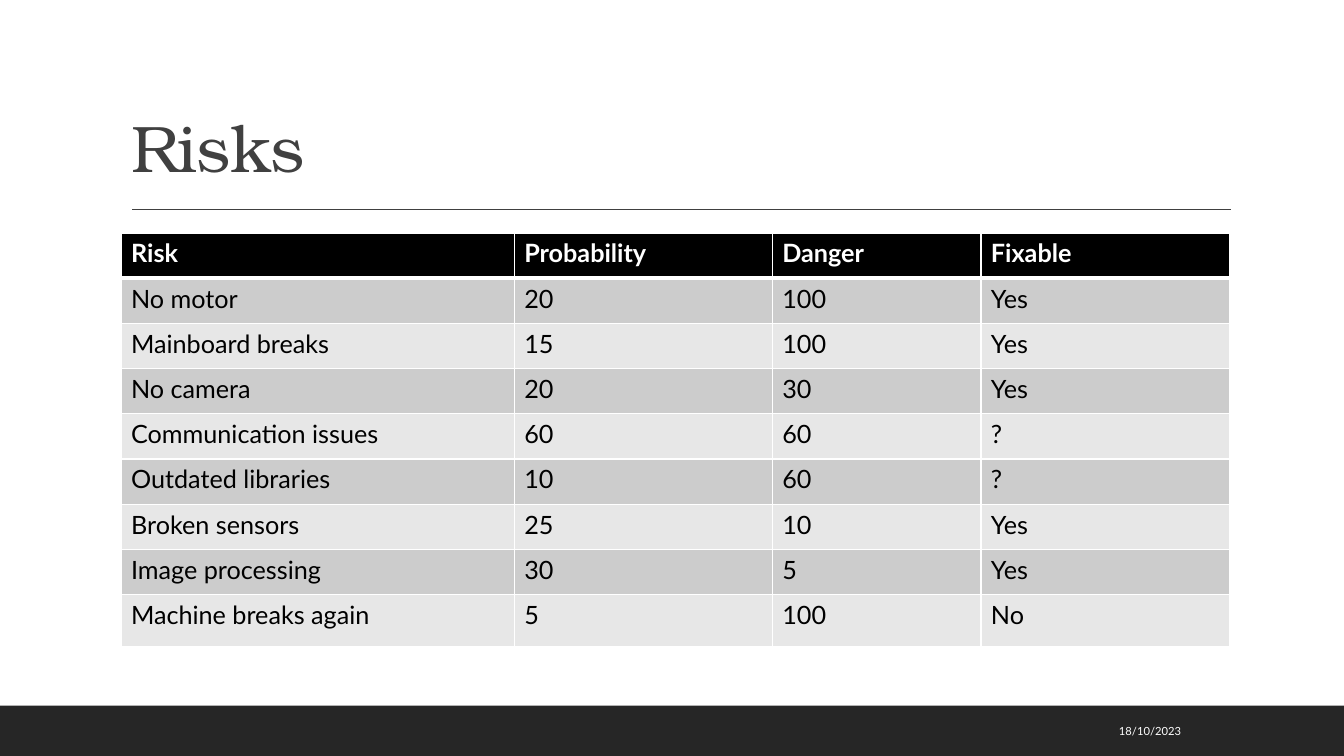
import pptx
import pptx.util
import pptx.dml.color
import pptx.enum.shapes
import pptx.enum.text
import pptx.oxml
import pptx.oxml.ns
from pptx.util import Cm, Pt

COLORS = {
    "white": "FFFFFF",
    "black": "000000",
    "footer": "262626",
    "title": "404040",
    "odd": "CCCCCC",
    "even": "E7E7E7",
}
ALIGN = pptx.enum.text.PP_ALIGN
ANCHOR = pptx.enum.text.MSO_ANCHOR

RISKS = [
    ("Risk", "Probability", "Danger", "Fixable"),
    ("No motor", "20", "100", "Yes"),
    ("Mainboard breaks", "15", "100", "Yes"),
    ("No camera", "20", "30", "Yes"),
    ("Communication issues", "60", "60", "?"),
    ("Outdated libraries", "10", "60", "?"),
    ("Broken sensors", "25", "10", "Yes"),
    ("Image processing", "30", "5", "Yes"),
    ("Machine breaks again", "5", "100", "No"),
]
COLUMN_WIDTHS = [9.91, 6.5, 5.26, 6.27]
ROW_HEIGHT = 1.14


def rgb(name):
    return pptx.dml.color.RGBColor.from_string(COLORS[name])


def set_all(obj, **formats):
    for key, value in formats.items():
        setattr(obj, key, value)


def write(tf, text, color, font, frame=None, para=None):
    set_all(tf, **(frame or {}))
    p = tf.paragraphs[0]
    set_all(p, **(para or {}))
    r = p.add_run()
    r.text = text
    set_all(r.font, **font)
    r.font.color.rgb = rgb(color)
    return r


def add_title(s, left, top, width, height):
    sp = s.shapes.title
    set_all(sp, left=Cm(left), top=Cm(top), width=Cm(width), height=Cm(height))
    r = write(
        sp.text_frame, "Risks", "title",
        {"name": "TeX Gyre Bonum", "size": Pt(47)},
        {"vertical_anchor": ANCHOR.BOTTOM, "word_wrap": True,
         "auto_size": pptx.enum.text.MSO_AUTO_SIZE.NONE},
        {"alignment": ALIGN.LEFT, "line_spacing": 0.9},
    )
    r.font._element.set("spc", "-50")
    y = Cm(top + height + 0.45)
    rule = s.shapes.add_connector(
        pptx.enum.shapes.MSO_CONNECTOR.STRAIGHT,
        Cm(left + 0.28), y, Cm(left + width + 0.02), y)
    rule.line.color.rgb = rgb("title")
    rule.line.width = Pt(1)
    rule._element.spPr.append(pptx.oxml.parse_xml(
        f'<a:effectLst {pptx.oxml.ns.nsdecls("a")}/>'))


def add_footer(s, left, top, width, height):
    bar = s.shapes.add_shape(
        pptx.enum.shapes.MSO_SHAPE.RECTANGLE,
        Cm(left), Cm(top), Cm(width), Cm(height))
    bar.shadow.inherit = False
    bar.fill.solid()
    bar.fill.fore_color.rgb = rgb("footer")
    bar.line.fill.background()
    date = s.shapes.add_textbox(
        Cm(left + 22.83), Cm(top + 0.13), Cm(7.19), Cm(1.02))
    write(
        date.text_frame, "18/10/2023", "white",
        {"name": "Lato", "size": Pt(8)},
        {"vertical_anchor": ANCHOR.MIDDLE, "word_wrap": True},
        {"alignment": ALIGN.RIGHT, "space_after": Pt(6)},
    )


def add_borders(cell, **points):
    tcPr = cell._tc.get_or_add_tcPr()
    for side in "LRTB":
        width = Pt(points.get(side, 1))
        tcPr.append(pptx.oxml.parse_xml(
            f'<a:ln{side} {pptx.oxml.ns.nsdecls("a")} w="{width}">'
            f'<a:solidFill><a:srgbClr val="{COLORS["white"]}"/></a:solidFill>'
            f'</a:ln{side}>'))


def add_risk_table(s, left, top, width, height):
    table = s.shapes.add_table(
        len(RISKS), len(RISKS[0]),
        Cm(left), Cm(top), Cm(width), Cm(height)).table
    for col, share in zip(table.columns, COLUMN_WIDTHS):
        col.width = Cm(width * share / sum(COLUMN_WIDTHS))
    for row in table.rows:
        row.height = Cm(ROW_HEIGHT)
    table.rows[len(RISKS) - 1].height = Cm(height - ROW_HEIGHT * (len(RISKS) - 1))
    for i, values in enumerate(RISKS):
        header = i == 0
        fill = "black" if header else "odd" if i % 2 else "even"
        borders = {"B": 3} if header else {"T": 3} if i == 1 else {}
        for j, text in enumerate(values):
            cell = table.cell(i, j)
            add_borders(cell, **borders)
            cell.fill.solid()
            cell.fill.fore_color.rgb = rgb(fill)
            write(cell.text_frame, text, "white" if header else "black",
                  {"name": "Lato", "size": Pt(18), "bold": header})


def main():
    prs = pptx.Presentation()
    set_all(prs, slide_width=Cm(33.87), slide_height=Cm(19.05))
    s = prs.slides.add_slide(prs.slide_layouts[5])
    add_footer(s, 0, 17.78, 33.87, 1.27)
    add_title(s, 3.05, 0.79, 27.94, 4.04)
    add_risk_table(s, 3.05, 5.87, 27.94, 10.42)
    prs.save("out.pptx")


if __name__ == "__main__":
    main()
